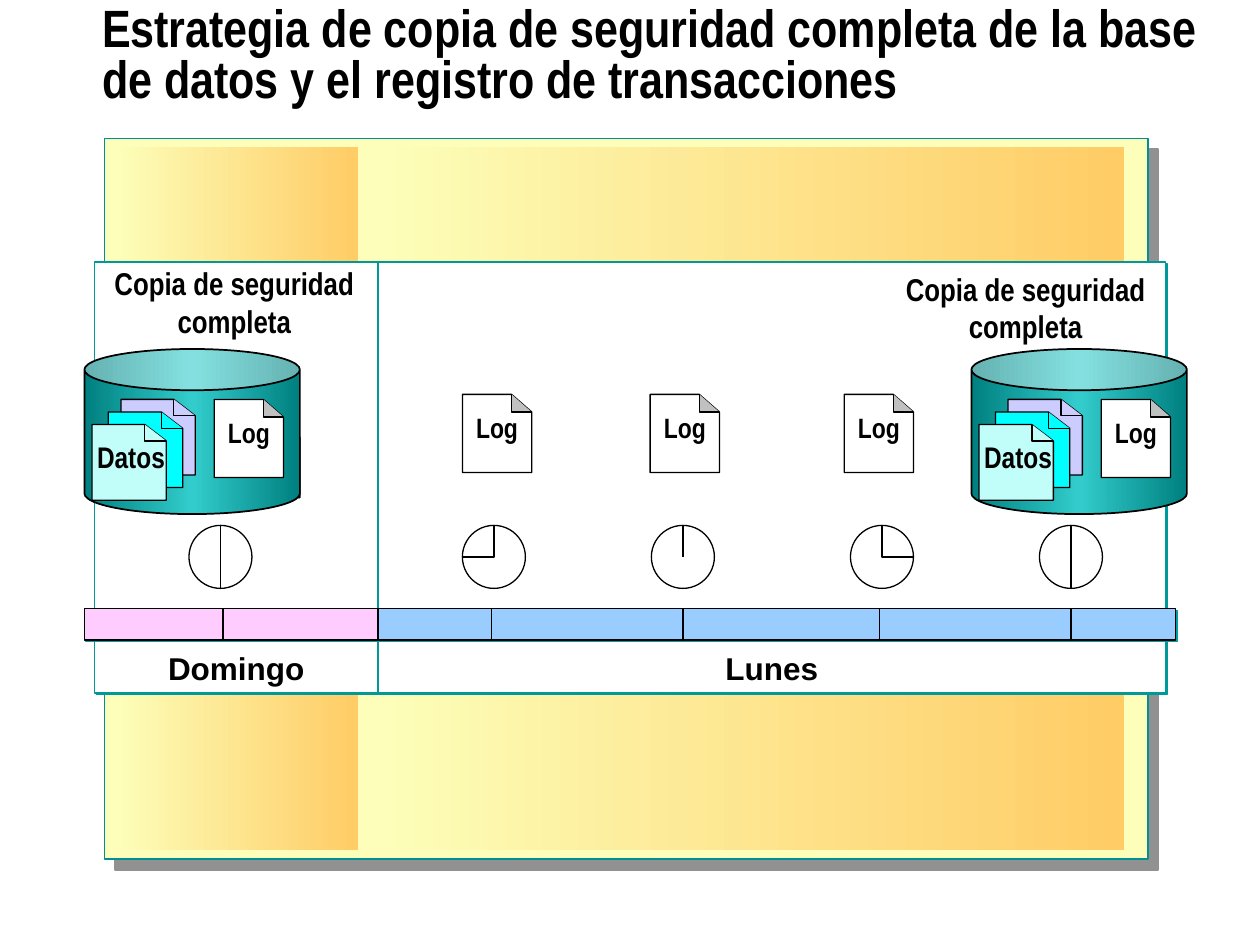
from lxml import etree
from pptx import Presentation
from pptx.dml.color import RGBColor
from pptx.enum.shapes import MSO_CONNECTOR, MSO_SHAPE
from pptx.enum.text import MSO_ANCHOR, MSO_AUTO_SIZE, PP_ALIGN
from pptx.oxml.ns import qn
from pptx.util import Inches, Pt

RECT, CAN, OVAL = MSO_SHAPE.RECTANGLE, MSO_SHAPE.CAN, MSO_SHAPE.OVAL
STRAIGHT = MSO_CONNECTOR.STRAIGHT
TOP, MIDDLE, BOTTOM = MSO_ANCHOR.TOP, MSO_ANCHOR.MIDDLE, MSO_ANCHOR.BOTTOM
LEFT, CENTER = PP_ALIGN.LEFT, PP_ALIGN.CENTER
NO_FIT = MSO_AUTO_SIZE.NONE
BLACK, WHITE, GREY, TEAL = "000000", "FFFFFF", "C0C0C0", "009999"
color = RGBColor.from_string


def paint(shape, fill=None, line=BLACK, weight=0.75, shadow=None):
    """fill: hex or list of gradient colours; shadow: (hex, distance in points)."""
    props = shape.element.spPr
    if isinstance(fill, list):
        shape.fill.gradient()
        shape.fill.gradient_angle = 0
        stops = props.find(".//" + qn("a:gsLst"))
        for old_stop in list(stops):
            stops.remove(old_stop)
        for i, tone in enumerate(fill):
            position = str(100000 * i // (len(fill) - 1))
            stop = etree.SubElement(stops, qn("a:gs"), pos=position)
            etree.SubElement(stop, qn("a:srgbClr"), val=str(color(tone)))
    elif fill:
        shape.fill.solid()
        shape.fill.fore_color.rgb = color(fill)
    elif hasattr(shape, "fill"):
        shape.fill.background()
    if line:
        shape.line.color.rgb = color(line)
        shape.line.width = Pt(weight)
    else:
        shape.line.fill.background()
    effects = etree.SubElement(props, qn("a:effectLst"))
    if shadow:
        tone, distance = shadow
        outer = etree.SubElement(effects, qn("a:outerShdw"), dist=str(Pt(distance)),
                                 dir="2700000", algn="ctr", rotWithShape="0")
        etree.SubElement(outer, qn("a:srgbClr"), val=str(color(tone)))


def write(shape, lines, size, font="Arial Narrow", align=CENTER, spacing=1.0, **frame_format):
    frame = shape.text_frame
    settings = {"word_wrap": False, "auto_size": NO_FIT, "vertical_anchor": TOP, **frame_format}
    for name, value in settings.items():
        setattr(frame, name, value)
    frame.text = "\n".join(lines)
    for paragraph in frame.paragraphs:
        paragraph.alignment = align
        paragraph.line_spacing = spacing
        for name, value in {"name": font, "size": Pt(size), "bold": True}.items():
            setattr(paragraph.font, name, value)
        paragraph.font.color.rgb = color(BLACK)


prs = Presentation()
prs.slide_width, prs.slide_height = Inches(10), Inches(7.5)
slide = prs.slides.add_slide(prs.slide_layouts[5])
shapes = slide.shapes

# Title
title = shapes.title
title.left, title.top, title.width, title.height = map(Inches, (0.71, 0, 8.96, 0.92))
write(title, ["Estrategia de copia de seguridad completa de la base de datos "
              "y el registro de transacciones"],
      30, align=LEFT, spacing=0.8, word_wrap=True, vertical_anchor=MIDDLE)

# Background panels, day columns and timeline bars
GLOW = ["FCFEB9", "FFCC66"]
column = {"fill": WHITE, "line": TEAL, "shadow": (TEAL, 1.4)}
bar_shadow = ("009EA1", 1.4)
blocks = [
    ((0.83, 1.1, 8.28, 5.72), None,
     {"fill": "FCFEB9", "line": "009094", "weight": 1, "shadow": ("919191", 8.5)}),
    ((3, 1.17, 5.92, 5.58), None, {"fill": GLOW, "line": None}),
    ((0.92, 1.17, 1.92, 5.58), None, {"fill": GLOW, "line": None}),
    ((0.75, 2.08, 2.25, 3.42), "Domingo", column),
    ((3, 2.08, 6.25, 3.42), "Lunes", column),
    ((0.67, 4.83, 2.33, 0.25), None, {"fill": "FFCCFF", "shadow": bar_shadow}),
    ((3, 4.83, 6.33, 0.25), None, {"fill": "99CCFF", "shadow": bar_shadow}),
]
for place, day, look in blocks:
    block = shapes.add_shape(RECT, *map(Inches, place))
    paint(block, **look)
    if day:
        write(block, [day], 18, "Arial", vertical_anchor=BOTTOM)

# Full backup captions
for left, top in [(0.81, 2.05), (7.09, 2.09)]:
    caption = shapes.add_textbox(*map(Inches, (left, top, 2.1, 0.7)))
    write(caption, ["Copia de seguridad", "completa"], 18)

# Databases and pages: page size, fold size, label size, label box offset and size
LOG = (0.55, 0.62, 0.16, 0.14, 16, 0.01, 0.08, 0.53, 0.37)
DATA = (0.59, 0.6, 0.17, 0.13, 17, -0.06, 0.06, 0.74, 0.39)
databases = [7.71, 0.67]
loose_pages = [(1.83, 3.33, LOG, WHITE, GREY, None)]
loose_pages += [(x, 3.13, LOG, WHITE, GREY, "Log") for x in (3.67, 5.16, 6.7)]
stored_pages = []
for x in databases:
    stored_pages += [
        (x + 0.29, 3.17, DATA, "CCCCFF", "CCCCFF", None),
        (x + 0.19, 3.27, DATA, "00FFFF", "00FFFF", None),
        (x + 0.06, 3.37, DATA, "C1FEF9", "C1FEF9", "Datos"),
        (x + 1.03, 3.17, LOG, WHITE, GREY, "Log"),
    ]
for cylinders, pages in [([], loose_pages), (databases, stored_pages)]:
    for x in cylinders:
        cylinder = shapes.add_shape(CAN, *map(Inches, (x, 2.77, 1.71, 1.31)))
        paint(cylinder, ["008080", "33CCCC", "008080"], weight=1)
    for x, y, page_format, sheet_fill, fold_fill, label in pages:
        w, h, fold_w, fold_h, size, dx, dy, label_w, label_h = page_format
        crease, right, fold_y = x + w - fold_w, x + w, y + fold_h
        sheet = [(x, y), (crease, y), (right, fold_y), (right, y + h), (x, y + h)]
        fold = [(crease, y), (crease, fold_y), (right, fold_y)]
        for points, fill, closed in [(sheet, sheet_fill, True), (fold, fold_fill, False)]:
            corners = [(Inches(px), Inches(py)) for px, py in points]
            outline = shapes.build_freeform(*corners[0])
            outline.add_line_segments(corners[1:], close=closed)
            paint(outline.convert_to_shape(), fill)
        if label:
            label_box = shapes.add_textbox(*map(Inches, (x + dx, y + dy, label_w, label_h)))
            write(label_box, [label], size)

# Clocks: centre and, for a bent hand, the direction of its hour end
strokes = [(x, 4.83, 5.08) for x in (1.77, 3.9, 5.42, 6.98, 8.5)]
for x, side, hand_end in [(1.75, 0, 4.67), (3.92, -1, 4.42), (5.42, 0, 4.42),
                          (7, 1, 4.42), (8.5, 0, 4.67)]:
    dial = shapes.add_shape(OVAL, *map(Inches, (x - 0.25, 4.17, 0.5, 0.5)))
    paint(dial, WHITE)
    if side:
        hands = shapes.build_freeform(Inches(x), Inches(4.17))
        hands.add_line_segments([(Inches(x), Inches(4.42)),
                                 (Inches(x + 0.25 * side), Inches(4.42))], close=False)
        paint(hands.convert_to_shape())
    else:
        strokes.append((x, 4.17, hand_end))

# Timeline ticks and straight clock hands
for x, start, end in strokes:
    stroke = shapes.add_connector(STRAIGHT, *map(Inches, (x, start, x, end)))
    paint(stroke)

prs.save("out.pptx")
